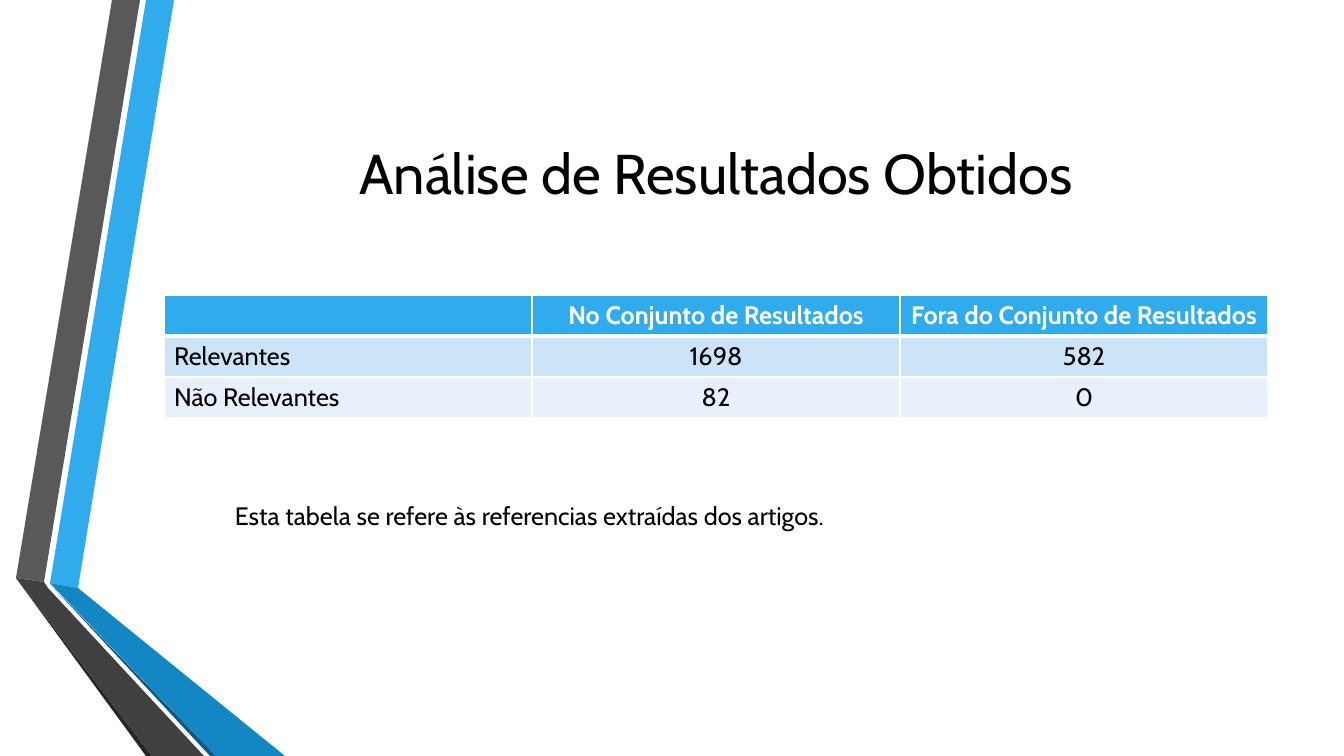
from lxml.etree import SubElement
from pptx import Presentation
from pptx.dml.color import RGBColor
from pptx.enum.text import MSO_ANCHOR, PP_ALIGN
from pptx.oxml.ns import qn
from pptx.util import Pt

EMU_PER_PIXEL = 914400 / 100.8
FONT = "Cabin"
BLACK, WHITE = "000000", "FFFFFF"

RIBBONS = [
    ("30ACEC", [(50, 583), (78, 588), (174, 0), (146, 0)]),
    ("595959", [(140, 0), (112, 0), (16, 578), (44, 582)]),
    ("262626", [(16, 578), (146, 756), (152, 756)]),
    ("0C5A82", [(50, 584), (210, 756), (216, 756)]),
    ("1287C3", [(50, 583), (216, 756), (285, 756), (78, 588)]),
    ("404040", [(16, 578), (152, 756), (204, 756), (48, 588), (44, 582)]),
]
TITLE = "Análise de Resultados Obtidos"
TITLE_BOX = (164, 76, 1104, 193)
NOTE = "Esta tabela se refere às referencias extraídas dos artigos."
NOTE_BOX = (225, 495, 612, 40)
ROWS = [
    ("", "No Conjunto de Resultados", "Fora do Conjunto de Resultados"),
    ("Relevantes", "1698", "582"),
    ("Não Relevantes", "82", "0"),
]
ROW_FILLS = ["30ACEC", "CDE3F8", "E8F1FB"]
TABLE_LEFT, TABLE_TOP, COLUMN_WIDTH, ROW_HEIGHT = 164, 295, 368, 41


def px(value):
    return round(value * EMU_PER_PIXEL)


def color(hex_string):
    return RGBColor.from_string(hex_string)


def write(frame, text, size, hex_string, align, bold=False):
    frame.text = text
    para = frame.paragraphs[0]
    para.alignment = align
    for span in para.runs:
        span.font.name = FONT
        span.font.size = Pt(size)
        span.font.bold = bold
        span.font.color.rgb = color(hex_string)


def add_text(page, box, text, size, align, wrap):
    frame = page.shapes.add_textbox(*map(px, box)).text_frame
    frame.word_wrap = wrap
    frame.vertical_anchor = MSO_ANCHOR.MIDDLE
    write(frame, text, size, BLACK, align)


def add_ribbon(page, hex_string, points):
    builder = page.shapes.build_freeform(*points[0], scale=EMU_PER_PIXEL)
    builder.add_line_segments(points[1:], close=True)
    ribbon = builder.convert_to_shape()
    ribbon.shadow.inherit = False
    ribbon.fill.solid()
    ribbon.fill.fore_color.rgb = color(hex_string)
    ribbon.line.fill.background()


def add_borders(cell, widths):
    properties = cell._tc.get_or_add_tcPr()
    for side, width in widths.items():
        line = SubElement(properties, qn("a:ln" + side), w=str(Pt(width)))
        fill = SubElement(line, qn("a:solidFill"))
        SubElement(fill, qn("a:srgbClr"), val=WHITE)


def add_results(page):
    row_count, column_count = len(ROWS), len(ROWS[0])
    table = page.shapes.add_table(
        row_count, column_count, px(TABLE_LEFT), px(TABLE_TOP),
        px(COLUMN_WIDTH * column_count), px(ROW_HEIGHT * row_count)).table
    for column in table.columns:
        column.width = px(COLUMN_WIDTH)
    for r, texts in enumerate(ROWS):
        table.rows[r].height = px(ROW_HEIGHT)
        for c, text in enumerate(texts):
            cell = table.cell(r, c)
            header = r == 0
            add_borders(cell, {"L": 1, "R": 1, "T": 3 if r == 1 else 1,
                               "B": 3 if header else 1})
            cell.fill.solid()
            cell.fill.fore_color.rgb = color(ROW_FILLS[r])
            write(cell.text_frame, text, 18, WHITE if header else BLACK,
                  PP_ALIGN.CENTER if c else PP_ALIGN.LEFT, header)


deck = Presentation()
deck.slide_width, deck.slide_height = px(1344), px(756)
page = deck.slides.add_slide(deck.slide_layouts[6])
for hex_string, points in RIBBONS:
    add_ribbon(page, hex_string, points)
add_text(page, TITLE_BOX, TITLE, 40, PP_ALIGN.CENTER, True)
add_results(page)
add_text(page, NOTE_BOX, NOTE, 18, PP_ALIGN.LEFT, False)
deck.save("out.pptx")
